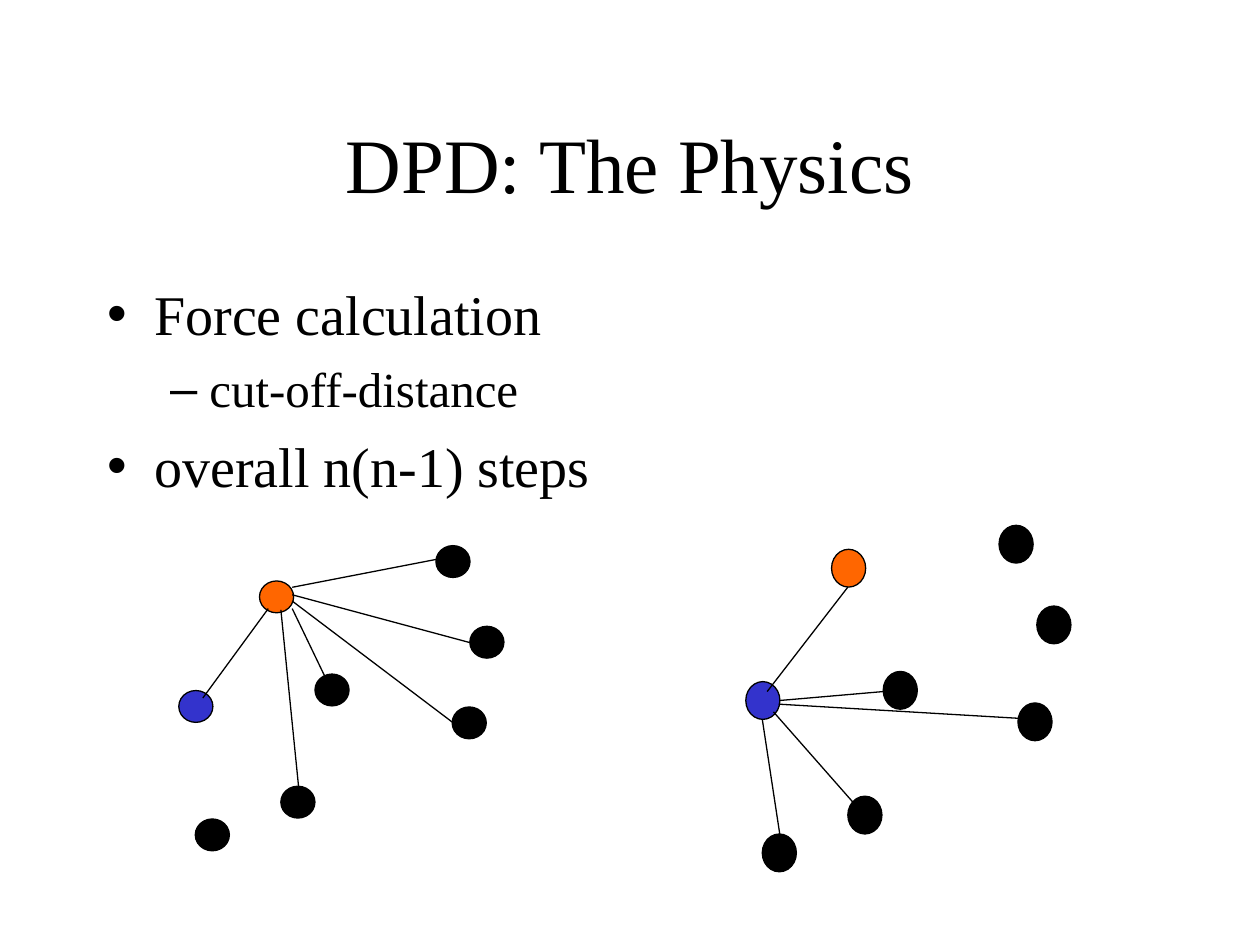
from lxml import etree
from pptx import Presentation
from pptx.dml.color import RGBColor
from pptx.enum.shapes import MSO_CONNECTOR, MSO_SHAPE
from pptx.enum.text import MSO_ANCHOR, MSO_AUTO_SIZE, PP_ALIGN
from pptx.oxml.ns import qn
from pptx.util import Pt

ELLIPSE = MSO_SHAPE.OVAL
STRAIGHT = MSO_CONNECTOR.STRAIGHT
CENTER = PP_ALIGN.CENTER
TOP, MIDDLE = MSO_ANCHOR.TOP, MSO_ANCHOR.MIDDLE
NO_FIT = MSO_AUTO_SIZE.NONE

FONT = "Times New Roman"
COLORS = {"ink": "000000", "blue": "3333CC", "orange": "FF6600"}
PARTICLE_COLORS = ["blue", "orange"] + ["ink"] * 6

TITLE_BOX = (54, 48, 612, 90)
BODY_BOX = (54, 156, 612, 324)
ORANGE_BOX = (102.2, 311.8, 186, 174.5)
BLUE_BOX = (426.2, 300.2, 186, 198)

LEVELS = [
    {"size": 32, "left": 27, "indent": -27, "before": 8, "bullet": "•"},
    {"size": 28, "left": 58.5, "indent": -22.5, "before": 7, "bullet": "–"},
]
POINTS = [
    (0, "Force calculation"),
    (1, "cut-off-distance"),
    (0, "overall n(n-1) steps"),
]

ORANGE_FORCES = {
    "size": (19.5, 18.2),
    "particles": [(0, 82.8), (46.1, 20.2), (58.3, 137.5), (9.4, 156.2),
                  (156.2, 92.2), (146.9, 0), (77.8, 73.4), (166.3, 46.1)],
    "forces": [((51.1, 36), (13.7, 87.1)), ((58.3, 36.7), (68.4, 137.5)),
               ((64.8, 36), (84.2, 76.3)), ((64.8, 31.7), (156.2, 100.8)),
               ((64.8, 28.1), (166.3, 55.4)), ((64.8, 23.8), (146.9, 7.9))],
}
BLUE_FORCES = {
    "size": (19.5, 21.6),
    "particles": [(0, 89.3), (49, 13.7), (58.3, 154.8), (9.4, 176.4),
                  (155.5, 101.5), (144.7, 0), (78.5, 83.5), (166.3, 46.1)],
    "forces": [((9.4, 110.9), (19.4, 176.4)), ((15.8, 106.6), (62.6, 159.8)),
               ((19.4, 100.1), (78.5, 95)), ((18.7, 102.2), (166.3, 110.9)),
               ((12.2, 95), (58.3, 35.3))],
}


def color(name):
    return RGBColor.from_string(COLORS[name])


def set_values(target, values):
    for name, value in values.items():
        setattr(target, name, value)


def format_font(font, size):
    set_values(font, {"name": FONT, "size": Pt(size), "bold": False})
    font.color.rgb = color("ink")


def place_frame(placeholder, box, anchor):
    sides = ("left", "top", "width", "height")
    set_values(placeholder, {side: Pt(value) for side, value in zip(sides, box)})
    frame = placeholder.text_frame
    set_values(frame, {
        "word_wrap": True, "auto_size": NO_FIT, "vertical_anchor": anchor,
        "margin_left": Pt(7.2), "margin_right": Pt(7.2),
        "margin_top": Pt(3.6), "margin_bottom": Pt(3.6),
    })
    return frame


def fill_title(title, box):
    heading = place_frame(title, box, MIDDLE).paragraphs[0]
    heading.text = "DPD: The Physics"
    heading.alignment = CENTER
    format_font(heading.font, 44)


def add_bullet(paragraph, style):
    properties = paragraph._p.get_or_add_pPr()
    properties.set("marL", str(Pt(style["left"])))
    properties.set("indent", str(Pt(style["indent"])))
    bullet_color = etree.SubElement(properties, qn("a:buClr"))
    etree.SubElement(bullet_color, qn("a:srgbClr")).set("val", COLORS["ink"])
    etree.SubElement(properties, qn("a:buChar")).set("char", style["bullet"])


def fill_body(body, box):
    frame = place_frame(body, box, TOP)
    for index, (level, words) in enumerate(POINTS):
        point = frame.add_paragraph() if index else frame.paragraphs[0]
        style = LEVELS[level]
        point.text = words
        set_values(point, {"level": level,
                           "space_before": Pt(style["before"] if index else 0)})
        add_bullet(point, style)
        format_font(point.font, style["size"])


def outline(shape):
    shape.line.color.rgb = color("ink")
    shape.line.width = Pt(0.75)


def draw_forces(slide, box, diagram):
    left, top = box[:2]
    group = slide.shapes.add_group_shape()
    width, height = diagram["size"]
    for (x, y), fill in zip(diagram["particles"], PARTICLE_COLORS):
        particle = group.shapes.add_shape(
            ELLIPSE, Pt(left + x), Pt(top + y), Pt(width), Pt(height))
        particle.shadow.inherit = False
        particle.fill.solid()
        particle.fill.fore_color.rgb = color(fill)
        outline(particle)
    for (x1, y1), (x2, y2) in diagram["forces"]:
        force = group.shapes.add_connector(
            STRAIGHT, Pt(left + x1), Pt(top + y1), Pt(left + x2), Pt(top + y2))
        outline(force)
        etree.SubElement(force._element.spPr, qn("a:effectLst"))


def main():
    deck = Presentation()
    deck.slide_width, deck.slide_height = Pt(720), Pt(540)
    slide = deck.slides.add_slide(deck.slide_layouts[1])
    fill_title(slide.shapes.title, TITLE_BOX)
    fill_body(slide.placeholders[1], BODY_BOX)
    draw_forces(slide, BLUE_BOX, BLUE_FORCES)
    draw_forces(slide, ORANGE_BOX, ORANGE_FORCES)
    deck.save("out.pptx")


if __name__ == "__main__":
    main()
